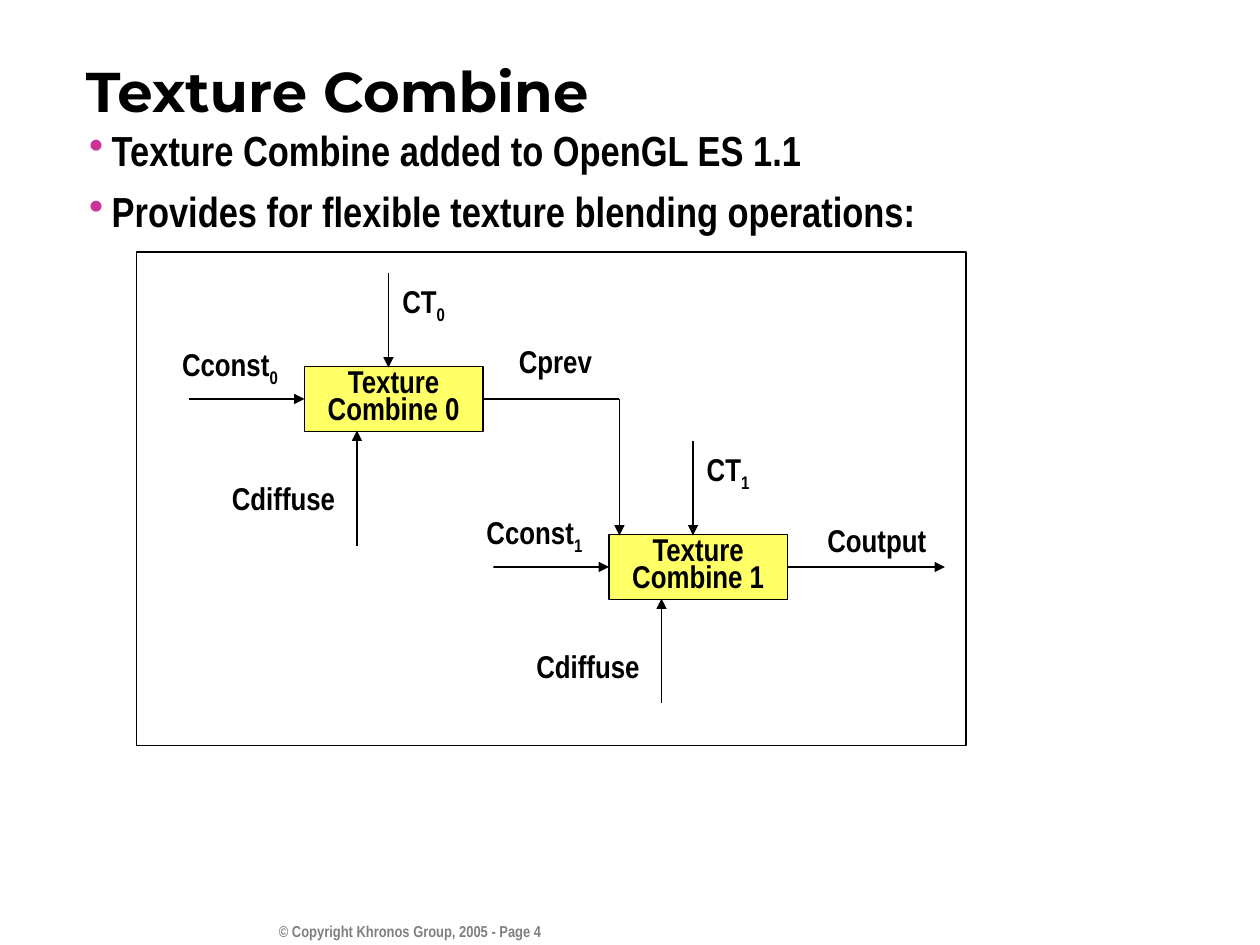
from lxml import etree
from pptx import Presentation
from pptx.dml.color import RGBColor
from pptx.enum.shapes import MSO_CONNECTOR, MSO_SHAPE
from pptx.enum.text import MSO_ANCHOR, MSO_AUTO_SIZE, PP_ALIGN
from pptx.oxml.ns import qn
from pptx.util import Inches, Pt

LEFT, MID, RIGHT = PP_ALIGN.LEFT, PP_ALIGN.CENTER, PP_ALIGN.RIGHT
MIDDLE = MSO_ANCHOR.MIDDLE
GROW = MSO_AUTO_SIZE.SHAPE_TO_FIT_TEXT
STRAIGHT = MSO_CONNECTOR.STRAIGHT
RECT, PROCESS = MSO_SHAPE.RECTANGLE, MSO_SHAPE.FLOWCHART_PROCESS
SIDE_L, SIDE_R = 1, 3

BODY, HEAD = "Arial Narrow", "Montserrat"
BLACK, GREY, YELLOW, PINK = "000000", "808080", "FFFF66", "CC3399"
COLS = 120  # grid columns across the slide; rows have the same size
WIDE, HIGH = 10, 7.5


def grid(*cells):
    return [Inches(n * WIDE / COLS) for n in cells]


def color(code):
    return RGBColor.from_string(code)


def add_run(para, text, size, font=BODY, tint=BLACK, base=None):
    run = para.add_run()
    run.text = text
    run.font.size, run.font.name, run.font.bold = Pt(size), font, True
    run.font.color.rgb = color(tint)
    if base:
        run.font._element.set("baseline", str(base * 1000))


def text_box(slide, box):
    frame = slide.shapes.add_textbox(*grid(*box)).text_frame
    frame.word_wrap = True
    return frame


def label(slide, box, text, sub="", wrap=True):
    frame = text_box(slide, box)
    frame.word_wrap = wrap
    frame.auto_size = GROW
    para = frame.paragraphs[0]
    para.alignment, para.line_spacing = MID, 0.7
    add_run(para, text, 18)
    if sub:
        add_run(para, sub, 18, base=-25)


def block(slide, kind, box, fill=None):
    shape = slide.shapes.add_shape(kind, *grid(*box))
    shape.shadow.inherit = False
    if fill:
        shape.fill.solid()
        shape.fill.fore_color.rgb = color(fill)
    else:
        shape.fill.background()
    shape.line.color.rgb, shape.line.width = color(BLACK), Pt(1)
    return shape


def line(slide, ends, head=True):
    link = slide.shapes.add_connector(STRAIGHT, *grid(*ends))
    link.line.color.rgb, link.line.width = color(BLACK), Pt(1)
    if head:
        etree.SubElement(link.line._get_or_add_ln(), qn("a:tailEnd"), type="triangle")
    etree.SubElement(link._element.spPr, qn("a:effectLst"))
    return link


def add_title(slide, box, text):
    frame = text_box(slide, box)
    frame.vertical_anchor = MIDDLE
    add_run(frame.paragraphs[0], text, 32, HEAD)


def add_list(slide, box, items):
    frame = text_box(slide, box)
    for i, item in enumerate(items):
        para = frame.add_paragraph() if i else frame.paragraphs[0]
        para.line_spacing = 0.95
        para.space_before = Pt(7.5 if i else 0)
        props = para._p.get_or_add_pPr()
        props.set("marL", str(Inches(0.18)))
        props.set("indent", str(-Inches(0.18)))
        tint = etree.SubElement(props, qn("a:buClr"))
        etree.SubElement(tint, qn("a:srgbClr"), val=PINK)
        etree.SubElement(props, qn("a:buChar"), char="•")
        add_run(para, item, 24)


def add_footer(slide, box, text):
    para = text_box(slide, box).paragraphs[0]
    para.alignment = RIGHT
    add_run(para, text, 9, tint=GREY)


def add_stage(slide, box, num, drop):
    """One combine unit with its three inputs; drop is the lower arrow's length."""
    x, y, w, h = box
    unit = block(slide, PROCESS, box, YELLOW)
    frame = unit.text_frame
    frame.word_wrap, frame.vertical_anchor = True, MIDDLE
    frame.auto_size = GROW
    para = frame.paragraphs[0]
    para.alignment, para.line_spacing = MID, 0.7
    add_run(para, f"Texture Combine {num}", 18)

    # Texture from above
    line(slide, (x + 8, y - 8.9, x + 8, y + 0.1))
    label(slide, (x + 8.1, y - 7.9, 6.5, 4.1), "CT", num, wrap=False)
    # Constant from the left
    mid = y + h / 2
    line(slide, (x - 11, mid, x, mid)).end_connect(unit, SIDE_L)
    label(slide, (x - 13, y - 1.9, 11.8, 4.1), "Cconst", num)
    # Diffuse from below
    low = y + h - 0.1
    line(slide, (x + 5, low + drop, x + 5, low))
    label(slide, (x - 10, low + 5, 16, 3.7), "Cdiffuse")
    return unit


def add_flow(slide, box):
    x, y, w, h = box
    size = 17, 6.2
    first = add_stage(slide, (x + 16, y + 10.9, *size), "0", 11)
    last = add_stage(slide, (x + 45, y + 26.9, *size), "1", 10)

    # Result of the second stage
    line(slide, (x + 62, y + 30, x + 77, y + 30)).begin_connect(last, SIDE_R)
    label(slide, (x + 63, y + 26, 15, 3.7), "Coutput")
    # Link from the first stage to the second
    bend = x + 46
    line(slide, (x + 33, y + 14, bend, y + 14), False).begin_connect(first, SIDE_R)
    line(slide, (bend, y + 14, bend, y + 27))
    label(slide, (x + 34, y + 9, 11.8, 3.7), "Cprev")
    # Frame
    block(slide, RECT, box)


def main():
    deck = Presentation()
    deck.slide_width, deck.slide_height = Inches(WIDE), Inches(HIGH)
    slide = deck.slides.add_slide(deck.slide_layouts[6])
    add_footer(slide, (24, 87.2, 28.7, 4), "© Copyright Khronos Group, 2005 - Page 4")
    add_title(slide, (7, 6.1, 112.4, 5), "Texture Combine")
    add_list(slide, (7.3, 11.6, 112.7, 40.3), [
        "Texture Combine added to OpenGL ES 1.1",
        "Provides for flexible texture blending operations:",
    ])
    add_flow(slide, (13, 24, 79, 47))
    deck.save("out.pptx")


if __name__ == "__main__":
    main()
